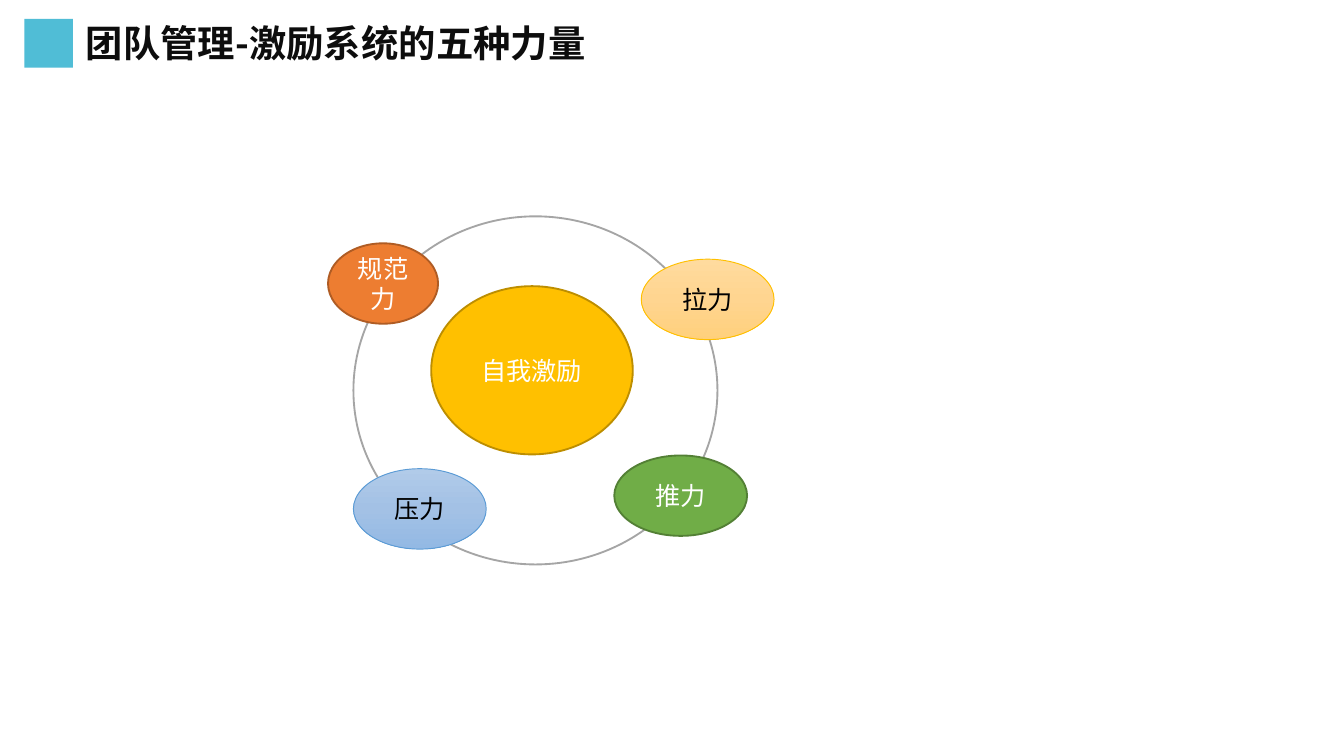
from copy import deepcopy
from dataclasses import dataclass

from lxml import etree
from pptx import Presentation
from pptx.dml.color import RGBColor
from pptx.enum.shapes import MSO_SHAPE
from pptx.enum.text import MSO_ANCHOR, MSO_AUTO_SIZE, PP_ALIGN
from pptx.oxml.ns import qn
from pptx.util import Cm, Pt

RECT, OVAL = MSO_SHAPE.RECTANGLE, MSO_SHAPE.OVAL
MIDDLE, CENTER = MSO_ANCHOR.MIDDLE, PP_ALIGN.CENTER
GROW = MSO_AUTO_SIZE.SHAPE_TO_FIT_TEXT

COLORS = {
    "accent": "06A1C6", "title": "0D0D0D", "white": "FFFFFF", "black": "000000",
    "gray": "A5A5A5", "gold": "FFC000", "gold_dark": "BD8E00",
    "green": "70AD47", "green_dark": "538035",
    "orange": "ED7D31", "orange_dark": "AF5C24", "blue": "5B9BD5",
    "peach_1": "FFDB9E", "peach_2": "FFD590", "peach_3": "FFD07C",
    "sky_1": "B1CBE9", "sky_2": "A3C1E5", "sky_3": "93B9E4",
}
TITLE_FONT, LABEL_FONT = "Noto Sans CJK SC", "Calibri"
FORCE_W, FORCE_H = 2.51, 1.52


@dataclass
class Oval:
    """An ellipse in cm; three fill names make a vertical gradient."""
    label: str
    x: float
    y: float
    fill: tuple[str, ...]
    line: str
    w: float = FORCE_W
    h: float = FORCE_H
    line_width: float = 1
    ink: str = "white"


OVALS = [
    Oval("", 6.68, 4.09, ("white",), "gray", 6.88, 6.58),
    Oval("自我激励", 8.15, 5.41, ("gold",), "gold_dark", 3.81, 3.18),
    Oval("拉力", 12.12, 4.9, ("peach_1", "peach_2", "peach_3"), "gold",
         line_width=0.5, ink="black"),
    Oval("推力", 11.61, 8.61, ("green",), "green_dark"),
    Oval("压力", 6.68, 8.86, ("sky_1", "sky_2", "sky_3"), "blue",
         line_width=0.5, ink="black"),
    Oval("规范力", 6.2, 4.6, ("orange",), "orange_dark", w=2.08),
]


def rgb(name: str) -> RGBColor:
    return RGBColor.from_string(COLORS[name])


def write(tf, text: str, ink: str, **font_values) -> None:
    p = tf.paragraphs[0]
    r = p.add_run()
    r.text = text
    for key, value in font_values.items():
        setattr(r.font, key, value)
    r.font.color.rgb = rgb(ink)


def fill_gradient(s, names: tuple[str, ...]) -> None:
    s.fill.gradient()
    s.fill.gradient_angle = 270
    stops = s._element.spPr.find(f".//{qn('a:gsLst')}")
    stops.insert(1, deepcopy(stops[0]))
    for i, (stop, name) in enumerate(zip(s.fill.gradient_stops, names)):
        stop.color.rgb = rgb(name)
        stop.position = i / (len(names) - 1)


def add_oval(slide, oval: Oval) -> None:
    s = slide.shapes.add_shape(OVAL, Cm(oval.x), Cm(oval.y), Cm(oval.w), Cm(oval.h))
    s.shadow.inherit = False
    if len(oval.fill) > 1:
        fill_gradient(s, oval.fill)
    else:
        s.fill.solid()
        s.fill.fore_color.rgb = rgb(oval.fill[0])
    s.line.color.rgb = rgb(oval.line)
    s.line.width = Pt(oval.line_width)
    if oval.label:
        tf = s.text_frame
        tf.word_wrap = True
        tf.vertical_anchor = MIDDLE
        tf.paragraphs[0].alignment = CENTER
        write(tf, oval.label, oval.ink, size=Pt(13.5), name=LABEL_FONT)


def add_heading(slide, text: str) -> None:
    # Translucent square marker
    s = slide.shapes.add_shape(RECT, Cm(0.46), Cm(0.36), Cm(0.92), Cm(0.92))
    s.shadow.inherit = False
    s.fill.solid()
    s.fill.fore_color.rgb = rgb("accent")
    s.line.fill.background()
    color = s._element.spPr.find(f"{qn('a:solidFill')}/{qn('a:srgbClr')}")
    etree.SubElement(color, qn("a:alpha"), val="70000")

    # Title text
    tf = slide.shapes.add_textbox(Cm(1.37), Cm(0.25), Cm(23.39), Cm(1.12)).text_frame
    tf.word_wrap = True
    tf.auto_size = GROW
    write(tf, text, "title", size=Pt(20), bold=True, name=TITLE_FONT)
    font = tf.paragraphs[0].runs[0].font
    etree.SubElement(font._element, qn("a:ea"), typeface=TITLE_FONT)


def main() -> None:
    prs = Presentation()
    prs.slide_width, prs.slide_height = Cm(25.4), Cm(14.29)
    slide = prs.slides.add_slide(prs.slide_layouts[6])
    add_heading(slide, "团队管理-激励系统的五种力量")
    # Ring, core and the forces around it
    for oval in OVALS:
        add_oval(slide, oval)
    prs.save("out.pptx")


if __name__ == "__main__":
    main()
